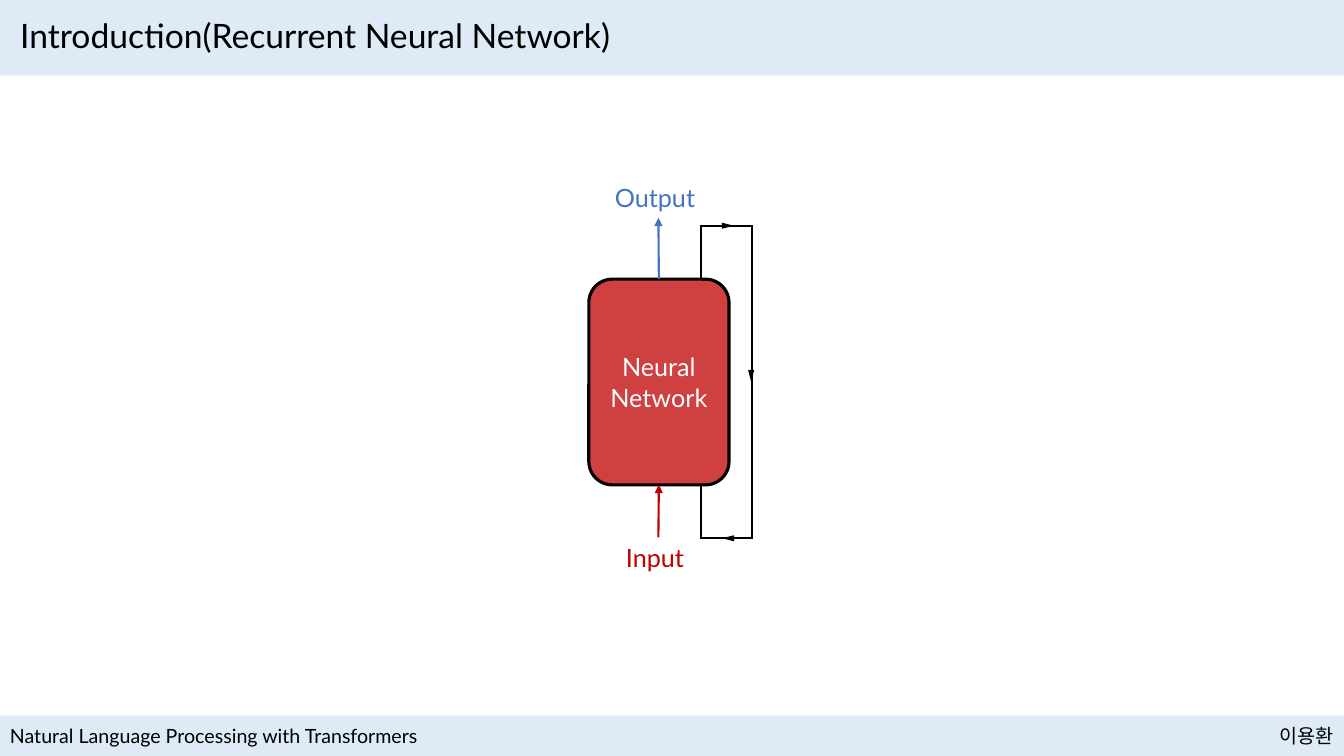
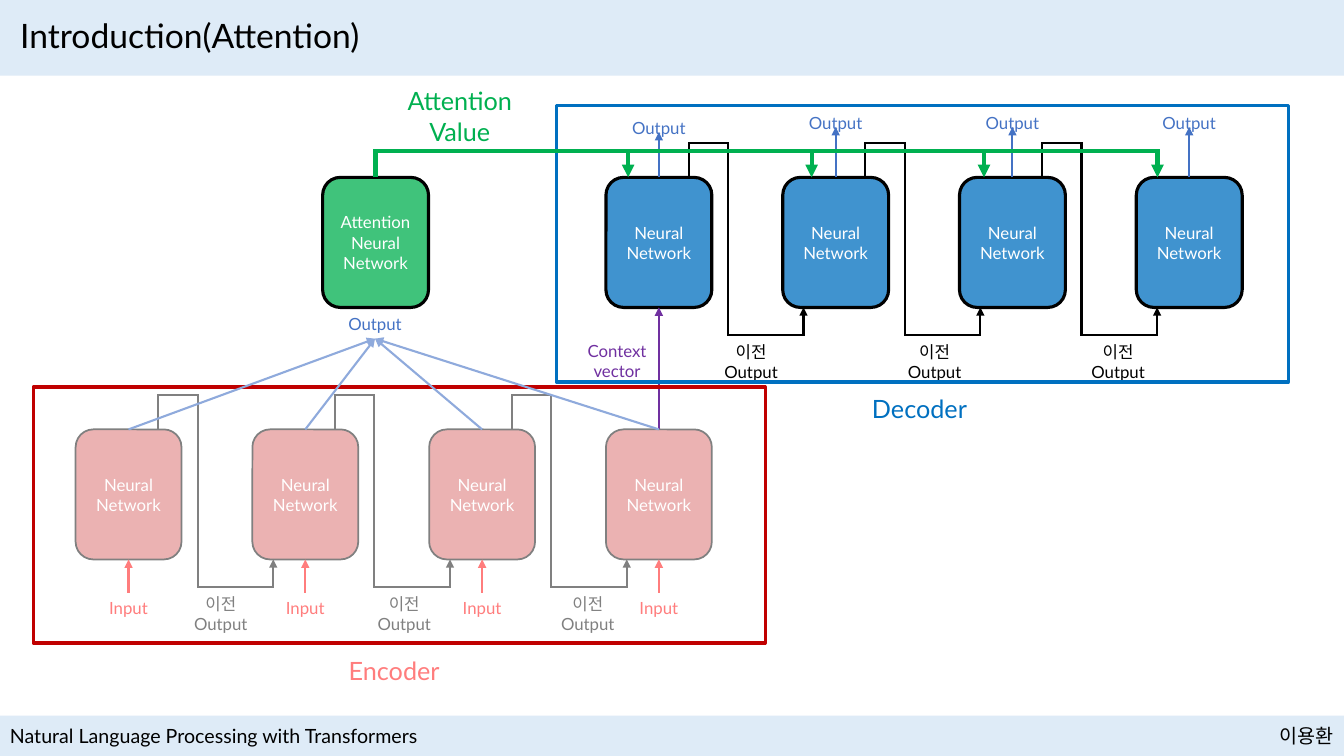
from lxml.etree import SubElement
from pptx import Presentation
from pptx.dml.color import RGBColor
from pptx.enum.shapes import MSO_CONNECTOR, MSO_SHAPE
from pptx.enum.text import MSO_ANCHOR, MSO_AUTO_SIZE, PP_ALIGN
from pptx.oxml.ns import qn
from pptx.util import Inches, Pt

FONT = "Lato"
BLACK = RGBColor(0x00, 0x00, 0x00)
WHITE = RGBColor(0xFF, 0xFF, 0xFF)
BAND = RGBColor(0xDE, 0xEB, 0xF7)
RED = RGBColor(0xC0, 0x00, 0x00)
PINK = RGBColor(0xFF, 0x7D, 0x7D)
BLUE = RGBColor(0x00, 0x70, 0xC0)
OUTPUT_BLUE = RGBColor(0x44, 0x72, 0xC4)
PALE_BLUE = RGBColor(0x8F, 0xAA, 0xDC)
GREEN = RGBColor(0x00, 0xB0, 0x50)
PURPLE = RGBColor(0x70, 0x30, 0xA0)
GRAY = RGBColor(0x80, 0x80, 0x80)

TITLES = ["Introduction(Recurrent Neural Network)", "Introduction(Attention)"]
BANDS = [(0, 0, 13.33, 0.75), (0, 7.1, 13.33, 0.4)]
FOOTERS = [
    ("Natural Language Processing with Transformers", (0, 7.13, 4.5, 0.34), PP_ALIGN.LEFT),
    ("이용환", (12.42, 7.13, 0.91, 0.34), PP_ALIGN.RIGHT),
]
NETWORK = ["Neural", "Network"]
PREVIOUS = ["이전", "Output"]

RNN_LOOP = [(6.95, 2.77), (6.95, 2.24), (7.46, 2.24), (7.46, 5.34), (6.95, 5.34), (6.95, 4.81)]
LOOP_MARKS = [(7.22, 2.24, 90), (7.45, 3.73, 180), (7.22, 5.34, 270)]

NODE_W, NODE_H = 1.05, 1.29
ENCODER_X, ENCODER_Y = 0.75, 4.26
DECODER_X, DECODER_Y = 6.01, 1.76
PITCH = (DECODER_X - ENCODER_X) / 3
PREVIOUS_PITCH = 1.82
ATTENTION_X = 3.2
ATTENTION_BAR_Y = 1.5
ATTENTION_DROPS = [6.23, 8.05, 9.76, 11.48]
OUTPUT_TOPS = [1.12, 1.07, 1.07, 1.07]


def inches(box):
    return [Inches(v) for v in box]


def write(sp, lines, size, color, align, inset):
    tf = sp.text_frame
    tf.word_wrap = True
    tf.auto_size = MSO_AUTO_SIZE.NONE
    tf.margin_left = tf.margin_right = Inches(inset)
    tf.text = "\n".join(lines)
    for p in tf.paragraphs:
        p.alignment = align
        p.font.name = FONT
        p.font.size = Pt(size)
        p.font.color.rgb = color
    return tf


def label(slide, lines, box, color, size=12, align=PP_ALIGN.CENTER):
    sp = slide.shapes.add_textbox(*inches(box))
    write(sp, lines, size, color, align, 0.05 if align == PP_ALIGN.CENTER else 0.1)
    return sp


def shape(slide, kind, box, fill=None, line=None, width=2.25):
    sp = slide.shapes.add_shape(kind, *inches(box))
    sp.shadow.inherit = False
    if fill is None:
        sp.fill.background()
    else:
        sp.fill.solid()
        sp.fill.fore_color.rgb = fill
    if line is None:
        sp.line.fill.background()
    else:
        sp.line.color.rgb = line
        sp.line.width = Pt(width)
    return sp


def node(slide, lines, box, fill, alpha=75, line=BLACK, width=2.25, size=12):
    sp = shape(slide, MSO_SHAPE.ROUNDED_RECTANGLE, box, fill, line, width)
    color = sp._element.spPr.find(qn("a:solidFill"))[0]
    SubElement(color, qn("a:alpha")).set("val", str(alpha * 1000))
    write(sp, lines, size, WHITE, PP_ALIGN.CENTER, 0).vertical_anchor = MSO_ANCHOR.MIDDLE
    return sp


def stroke(sp, color, width, head):
    sp.line.color.rgb = color
    sp.line.width = Pt(width)
    ln = sp.line._get_or_add_ln()
    SubElement(ln, qn("a:miter")).set("lim", "800000")
    if head:
        SubElement(ln, qn("a:tailEnd")).set("type", "triangle")


def arrow(slide, start, start_site, end, end_site, color):
    c = slide.shapes.add_connector(MSO_CONNECTOR.STRAIGHT, 0, 0, 0, 0)
    c.begin_connect(start, start_site)
    c.end_connect(end, end_site)
    stroke(c, color, 1.5, True)
    SubElement(c._element.spPr, qn("a:effectLst"))


def bent_line(slide, points, color, width=1.5, head=True):
    pts = [tuple(inches(point)) for point in points]
    builder = slide.shapes.build_freeform(*pts[0])
    builder.add_line_segments(pts[1:], close=False)
    sp = builder.convert_to_shape()
    sp.fill.background()
    stroke(sp, color, width, head)
    sp.shadow.inherit = False


def chain(slide, left, top, fill, alpha, line, width, previous_color):
    bottom = top + NODE_H
    nodes = []
    for i in range(4):
        x = left + i * PITCH
        nodes.append(node(slide, NETWORK, (x, top, NODE_W, NODE_H), fill, alpha, line, width))
    for i in range(3):
        x = left + i * PITCH
        bent_line(slide, [
            (x + 0.82, top), (x + 0.82, top - 0.34), (x + 1.21, top - 0.34),
            (x + 1.21, bottom + 0.27), (x + 1.96, bottom + 0.27), (x + 1.96, bottom),
        ], line)
        label(slide, PREVIOUS, (left + 1.04 + i * PREVIOUS_PITCH, bottom + 0.29, 0.8, 0.5),
              previous_color)
    return nodes


def new_slide(prs, layout, title):
    slide = prs.slides.add_slide(layout)
    sp = slide.shapes.title
    sp.left, sp.top, sp.width, sp.height = inches((0.1, 0.1, 13.14, 0.55))
    tf = write(sp, [title], 24, BLACK, PP_ALIGN.LEFT, 0.1)
    tf.vertical_anchor = MSO_ANCHOR.MIDDLE
    tf.paragraphs[0].line_spacing = 0.9
    return slide


def add_bands(slide, layout):
    parts = [shape(slide, MSO_SHAPE.RECTANGLE, box, BAND) for box in BANDS]
    parts += [label(slide, [text], box, BLACK, 14, align) for text, box, align in FOOTERS]
    for i, sp in enumerate(parts):
        layout.shapes._spTree.insert(2 + i, sp._element)


def draw_rnn(slide):
    network = node(slide, NETWORK, (5.84, 2.77, 1.39, 2.04), RED, size=18)
    source = label(slide, ["Input"], (6.11, 5.33, 0.84, 0.4), RED, 18, PP_ALIGN.LEFT)
    result = label(slide, ["Output"], (6, 1.76, 1.06, 0.4), OUTPUT_BLUE, 18, PP_ALIGN.LEFT)
    arrow(slide, source, 0, network, 2, RED)
    arrow(slide, network, 0, result, 2, OUTPUT_BLUE)
    bent_line(slide, RNN_LOOP, BLACK, head=False)
    for x, y, angle in LOOP_MARKS:
        mark = shape(slide, MSO_SHAPE.ISOSCELES_TRIANGLE, (x - 0.03, y - 0.06, 0.06, 0.12), BLACK)
        mark.rotation = angle


def draw_attention(slide):
    encoder = chain(slide, ENCODER_X, ENCODER_Y, RED, 30, GRAY, 1.25, GRAY)
    for i, network in enumerate(encoder):
        x = ENCODER_X + i * PITCH + NODE_W / 2
        source = label(slide, ["Input"], (x - 0.32, 5.88, 0.64, 0.3), PINK)
        arrow(slide, source, 0, network, 2, PINK)

    decoder = chain(slide, DECODER_X, DECODER_Y, BLUE, 75, BLACK, 2.25, BLACK)
    for i, (network, top) in enumerate(zip(decoder, OUTPUT_TOPS)):
        x = DECODER_X + i * PITCH + NODE_W / 2
        result = label(slide, ["Output"], (x - 0.4, top, 0.8, 0.19), OUTPUT_BLUE)
        arrow(slide, network, 0, result, 2, OUTPUT_BLUE)

    arrow(slide, encoder[3], 0, decoder[0], 2, PURPLE)
    label(slide, ["Context", "vector"], (5.72, 3.33, 0.8, 0.5), PURPLE)
    shape(slide, MSO_SHAPE.RECTANGLE, (0.33, 3.84, 7.26, 2.54), line=RED)
    shape(slide, MSO_SHAPE.RECTANGLE, (5.52, 1.05, 7.26, 2.74), line=BLUE)
    label(slide, ["Decoder"], (8.55, 3.85, 1.19, 0.4), BLUE, 18, PP_ALIGN.LEFT)
    label(slide, ["Encoder"], (3.36, 6.45, 1.19, 0.4), PINK, 18, PP_ALIGN.LEFT)

    node(slide, ["Attention"] + NETWORK, (ATTENTION_X, DECODER_Y, NODE_W, NODE_H), GREEN)
    scores = label(slide, ["Output"], (3.32, 3.06, 0.8, 0.3), OUTPUT_BLUE)
    for network in encoder:
        arrow(slide, network, 0, scores, 2, PALE_BLUE)

    start = ATTENTION_X + NODE_W / 2
    points = [(start, DECODER_Y), (start, ATTENTION_BAR_Y)]
    for x in ATTENTION_DROPS:
        bent_line(slide, points + [(x, ATTENTION_BAR_Y), (x, DECODER_Y)], GREEN, 3)
        points = [(x, ATTENTION_BAR_Y)]
    label(slide, ["Attention", "Value"], (3.92, 0.8, 1.28, 0.71), GREEN, 18)


def main():
    prs = Presentation()
    prs.slide_width, prs.slide_height = Inches(13.33), Inches(7.5)
    layout = prs.slide_layouts[5]
    rnn, attention = [new_slide(prs, layout, title) for title in TITLES]
    add_bands(rnn, layout)
    draw_rnn(rnn)
    draw_attention(attention)
    prs.save("out.pptx")


if __name__ == "__main__":
    main()
